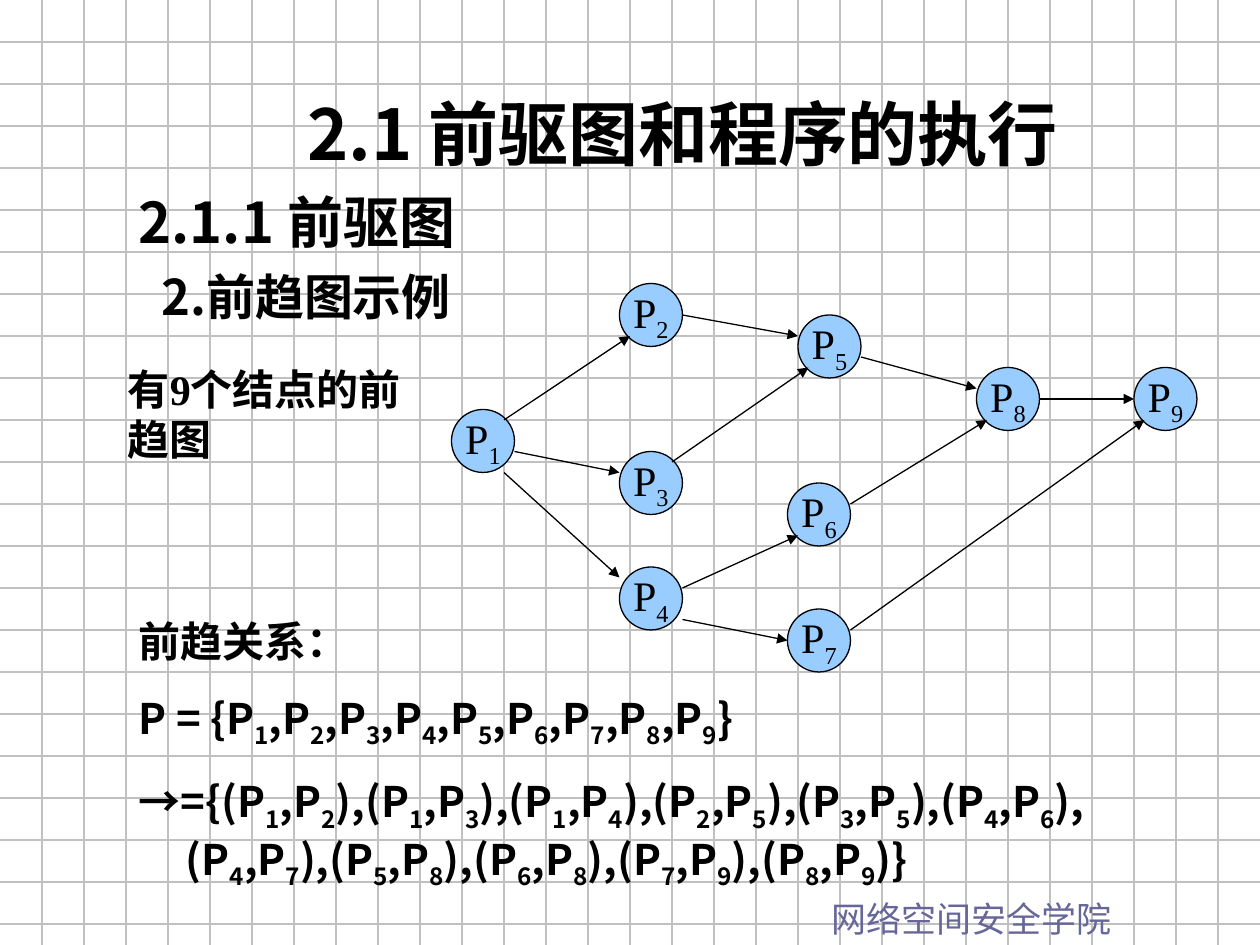
from dataclasses import dataclass
from itertools import groupby

from lxml.etree import SubElement
from pptx import Presentation
from pptx.dml.color import RGBColor
from pptx.enum.shapes import MSO_CONNECTOR as Connector, MSO_SHAPE as Preset
from pptx.enum.text import MSO_ANCHOR as Anchor, MSO_AUTO_SIZE as AutoSize, PP_ALIGN as Align
from pptx.oxml.ns import qn
from pptx.util import Cm, Pt


@dataclass(frozen=True)
class Theme:
    black: RGBColor = RGBColor(0, 0, 0)
    grid: RGBColor = RGBColor(0xC0, 0xC0, 0xC0)
    node: RGBColor = RGBColor(0x99, 0xCC, 0xFF)
    footer: RGBColor = RGBColor(0x66, 0x66, 0x99)
    sans: str = "Noto Sans CJK SC"
    display: str = "Noto Sans CJK JP"
    serif: str = "Times New Roman"
    title_size: int = 40
    heading_size: int = 32
    subheading_size: int = 28
    text_size: int = 24
    footer_size: int = 20
    line_width: float = 0.75


THEME = Theme()
WIDTH, HEIGHT = 25.4, 19.05
GRID_STEP = 2.54 / 3
UNIT = 2.54 / 12  # the diagram snaps to twelfths of an inch
NODE_SIZE = 6

# Top left corner of each node, in units
NODES = {1: (43, 39), 2: (59, 27), 3: (59, 43), 4: (59, 54), 5: (76, 30),
         6: (75, 46), 7: (75, 58), 8: (93, 35), 9: (108, 35)}

# Precedence relation: (before, after) -> arrow start and end, in units
ARROWS = {
    (1, 2): (48, 40, 60, 32), (1, 3): (49, 43, 59, 45), (1, 4): (48, 45, 59, 55),
    (2, 5): (65, 30, 76, 32), (3, 5): (64, 44, 77, 35), (4, 6): (65, 56, 76, 51),
    (4, 7): (65, 59, 75, 61), (5, 8): (82, 34, 93, 37), (6, 8): (81, 48, 94, 40),
    (7, 9): (81, 60, 109, 40), (8, 9): (99, 38, 108, 38),
}


def set_typeface(font, latin, east_asian):
    font.name = latin
    SubElement(font._element, qn("a:ea"), typeface=east_asian)


def format_paragraph(paragraph, size, latin, color=THEME.black, bold=True, align=Align.LEFT,
                     before=0, spacing=1.0, left=0, hanging=0):
    properties = paragraph._p.get_or_add_pPr()
    properties.set("marL", str(Cm(left)))
    properties.set("indent", str(-Cm(hanging)))
    SubElement(properties, qn("a:buNone"))
    paragraph.alignment = align
    paragraph.space_before = Pt(before)
    paragraph.line_spacing = spacing
    font = paragraph.font
    font.size, font.bold = Pt(size), bold
    font.color.rgb = color
    set_typeface(font, latin, THEME.display if latin == THEME.display else THEME.sans)


def add_indexed_text(paragraph, text):
    """Write text with every digit as a subscript."""
    for is_index, characters in groupby(text, str.isdigit):
        run = paragraph.add_run()
        run.text = "".join(characters)
        if is_index:
            run._r.get_or_add_rPr().set("baseline", "-25000")


def place(shape, left, top, width, height):
    shape.left, shape.top = Cm(left), Cm(top)
    shape.width, shape.height = Cm(width), Cm(height)
    shape.text_frame.word_wrap = True
    shape.text_frame.auto_size = AutoSize.NONE
    return shape.text_frame


def add_text_box(slide, box, text, **style):
    frame = place(slide.shapes.add_textbox(0, 0, 0, 0), *box)
    frame.text = text
    format_paragraph(frame.paragraphs[0], **style)


def add_line(group, start_x, start_y, end_x, end_y, color, arrow=False):
    line = group.shapes.add_connector(
        Connector.STRAIGHT, Cm(start_x), Cm(start_y), Cm(end_x), Cm(end_y))
    line.line.color.rgb = color
    line.line.width = Pt(THEME.line_width)
    if arrow:
        SubElement(line.line._get_or_add_ln(), qn("a:tailEnd"), type="triangle")
    SubElement(line._element.spPr, qn("a:effectLst"))


def add_node(group, number, column, row):
    node = group.shapes.add_shape(
        Preset.OVAL, *(Cm(value * UNIT) for value in (column, row, NODE_SIZE, NODE_SIZE)))
    node.shadow.inherit = False
    node.fill.solid()
    node.fill.fore_color.rgb = THEME.node
    node.line.color.rgb = THEME.black
    node.line.width = Pt(THEME.line_width)
    frame = node.text_frame
    frame.word_wrap = False
    frame.vertical_anchor = Anchor.MIDDLE
    paragraph = frame.paragraphs[0]
    format_paragraph(paragraph, THEME.text_size, THEME.serif, bold=False, align=Align.CENTER)
    add_indexed_text(paragraph, f"P{number}")


def add_grid(slide):
    grid = slide.shapes.add_group_shape()
    for index in range(1, 23):
        add_line(grid, 0, index * GRID_STEP, WIDTH, index * GRID_STEP, THEME.grid)
    for index in range(1, 30):
        add_line(grid, index * GRID_STEP, 0, index * GRID_STEP, HEIGHT, THEME.grid)
    # Send the grid behind the placeholders
    grid._element.getparent().insert(2, grid._element)


def add_graph(slide):
    graph = slide.shapes.add_group_shape()
    for number, corner in NODES.items():
        add_node(graph, number, *corner)
    for ends in ARROWS.values():
        add_line(graph, *(value * UNIT for value in ends), THEME.black, arrow=True)


def fill_title(title):
    frame = place(title, 3.6, 1.69, 20.32, 1.96)
    frame.vertical_anchor = Anchor.MIDDLE
    frame.text = "2.1 前驱图和程序的执行"
    format_paragraph(frame.paragraphs[0], THEME.title_size, THEME.display, align=Align.CENTER)


def fill_headings(body):
    frame = place(body, 2.54, 3.39, 21.8, 3.3)
    heading, subheading = frame.paragraphs[0], frame.add_paragraph()
    heading.text = "2.1.1 前驱图"
    format_paragraph(heading, THEME.heading_size, THEME.sans, spacing=1.2,
                     left=1.27, hanging=1.27)
    subheading.text = "2.前趋图示例"
    format_paragraph(subheading, THEME.subheading_size, THEME.sans, spacing=1.2, left=0.46)


def fill_relations(body):
    frame = place(body, 2.54, 12.28, 21.38, 6.14)
    label = frame.paragraphs[0]
    label.text = "前趋关系："
    format_paragraph(label, THEME.text_size, THEME.serif, left=0.95, hanging=0.95)
    nodes = ",".join(f"P{number}" for number in NODES)
    pairs = ",".join(f"(P{before},P{after})" for before, after in ARROWS)
    for text in (f"P = {{{nodes}}}", f"→={{{pairs}}}"):
        paragraph = frame.add_paragraph()
        format_paragraph(paragraph, THEME.text_size, THEME.sans, align=Align.JUSTIFY,
                         before=15, left=0.95, hanging=0.95)
        add_indexed_text(paragraph, text)


def main():
    presentation = Presentation()
    presentation.slide_width, presentation.slide_height = Cm(WIDTH), Cm(HEIGHT)
    slide = presentation.slides.add_slide(presentation.slide_layouts.get_by_name("Two Content"))
    title, headings, relations = slide.placeholders

    # Background grid and footer
    add_grid(slide)
    add_text_box(slide, (16.51, 17.96, 8.89, 1.12), "网络空间安全学院", size=THEME.footer_size,
                 latin=THEME.display, color=THEME.footer, bold=False)

    # Title, headings and relations
    fill_title(title)
    fill_headings(headings)
    fill_relations(relations)

    # Precedence graph with its caption
    add_graph(slide)
    add_text_box(slide, (2.33, 7.2, 6.14, 2.29), "有9个结点的前趋图",
                 size=THEME.text_size, latin=THEME.serif)

    presentation.save("out.pptx")


if __name__ == "__main__":
    main()
